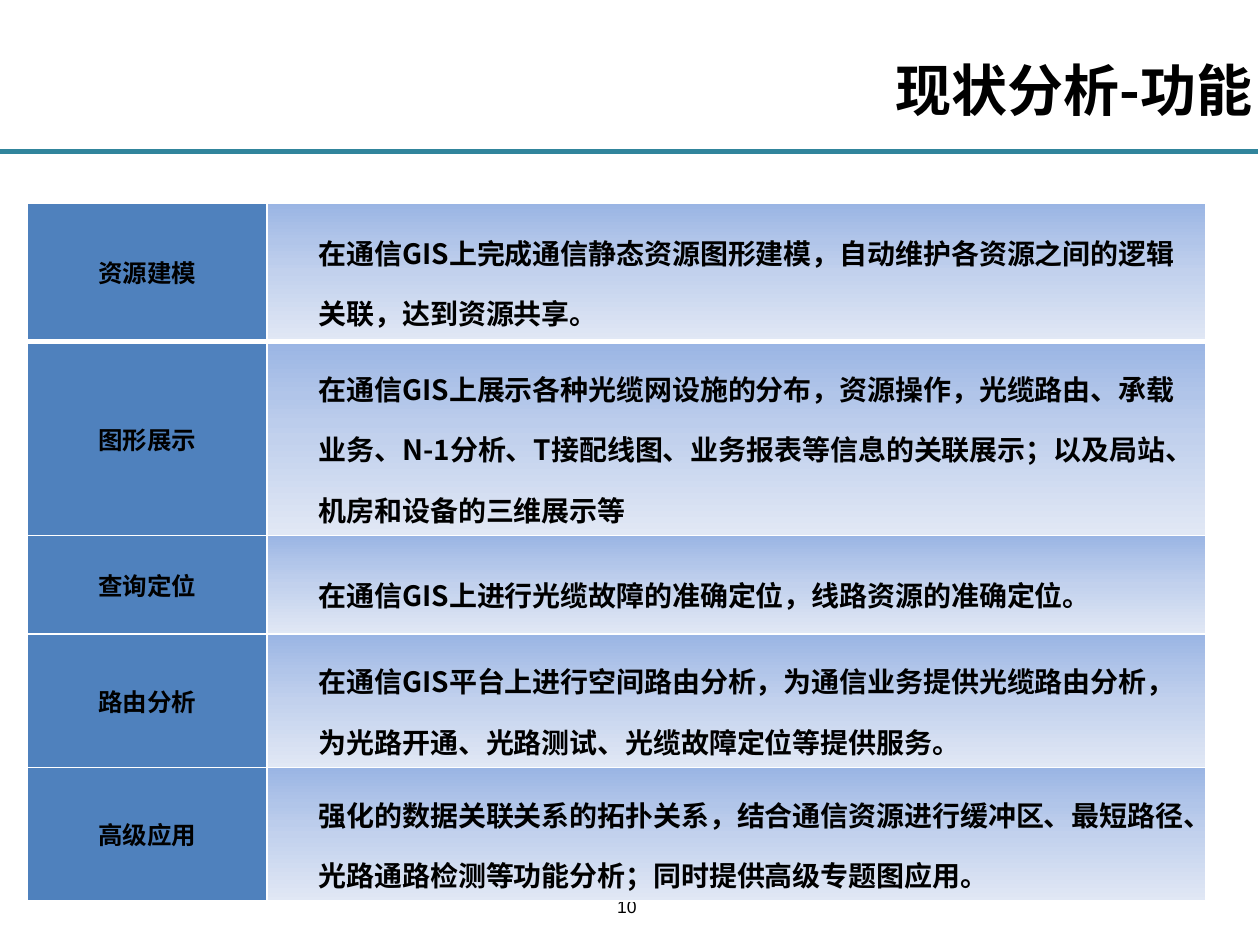
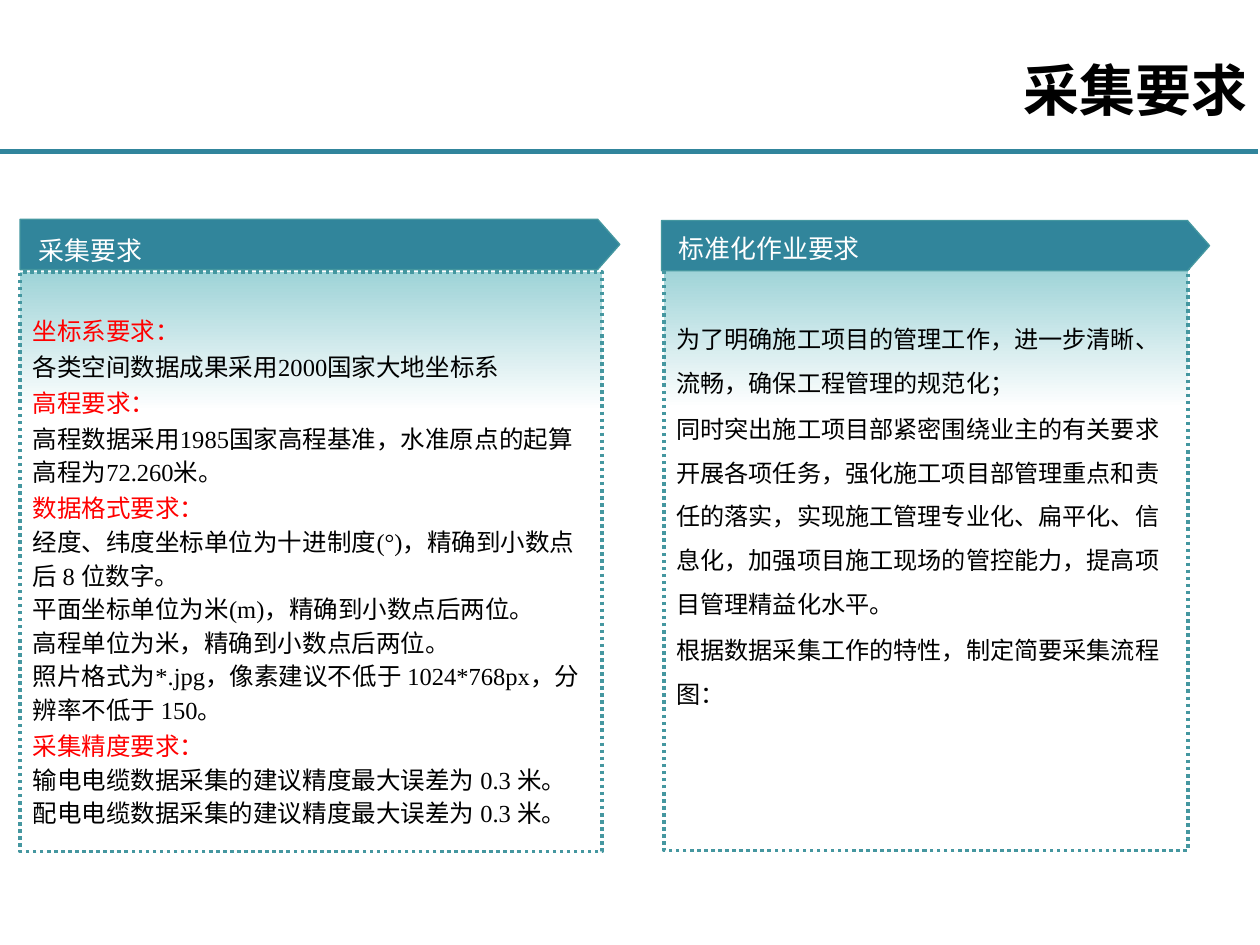
"""Build two slides on current functions and data collection requirements."""
from lxml import etree
from pptx import Presentation
from pptx.dml.color import RGBColor
from pptx.enum.dml import MSO_LINE
from pptx.enum.shapes import MSO_CONNECTOR, MSO_SHAPE
from pptx.enum.text import MSO_ANCHOR, MSO_AUTO_SIZE, PP_ALIGN
from pptx.oxml.ns import qn
from pptx.util import Pt

LEFT, CENTER, RIGHT = PP_ALIGN.LEFT, PP_ALIGN.CENTER, PP_ALIGN.RIGHT
TOP, MIDDLE, BOTTOM = MSO_ANCHOR.TOP, MSO_ANCHOR.MIDDLE, MSO_ANCHOR.BOTTOM
RECTANGLE, PENTAGON = MSO_SHAPE.RECTANGLE, MSO_SHAPE.PENTAGON
STRAIGHT, DOTTED = MSO_CONNECTOR.STRAIGHT, MSO_LINE.ROUND_DOT
NO_AUTOFIT = MSO_AUTO_SIZE.NONE

SANS, SERIF = "Noto Sans CJK SC", "Times New Roman"
BLACK, WHITE, RED = "000000", "FFFFFF", "FF0000"
RULE_TEAL, BANNER_TEAL, OUTLINE_TEAL = "31859C", "31859B", "4597A0"
LABEL_BLUE = "4F81BD"
CELL_GRADIENT = [(0, "9AB5E4"), (28, "B1C5E9"), (42, "BCCDEC"), (50, "C2D1ED"), (100, "E1E8F5")]
PANEL_GRADIENT = [(0, "9ED3D7"), (24, WHITE), (100, WHITE)]

FUNCTIONS = [
    ("资源建模", 79.2, "在通信GIS上完成通信静态资源图形建模，自动维护各资源之间的逻辑关联，达到资源共享。"),
    ("图形展示", 56.9, "在通信GIS上展示各种光缆网设施的分布，资源操作，光缆路由、承载业务、N-1分析、"
     "T接配线图、业务报表等信息的关联展示；以及局站、机房和设备的三维展示等"),
    ("查询定位", 56.2, "在通信GIS上进行光缆故障的准确定位，线路资源的准确定位。"),
    ("路由分析", 55.4, "在通信GIS平台上进行空间路由分析，为通信业务提供光缆路由分析，"
     "为光路开通、光路测试、光缆故障定位等提供服务。"),
    ("高级应用", 60.5, "强化的数据关联关系的拓扑关系，结合通信资源进行缓冲区、最短路径、"
     "光路通路检测等功能分析；同时提供高级专题图应用。"),
]
COLLECTION_RULES = [
    ("坐标系要求：", ["各类空间数据成果采用2000国家大地坐标系"]),
    ("高程要求：", ["高程数据采用1985国家高程基准，水准原点的起算高程为72.260米。"]),
    ("数据格式要求：", [
        "经度、纬度坐标单位为十进制度(°)，精确到小数点后 8 位数字。",
        "平面坐标单位为米(m)，精确到小数点后两位。",
        "高程单位为米，精确到小数点后两位。",
        "照片格式为*.jpg，像素建议不低于 1024*768px，分辨率不低于 150。"]),
    ("采集精度要求：", [
        "输电电缆数据采集的建议精度最大误差为 0.3 米。",
        "配电电缆数据采集的建议精度最大误差为 0.3 米。"]),
]
WORK_STANDARDS = [
    "为了明确施工项目的管理工作，进一步清晰、流畅，确保工程管理的规范化；",
    "同时突出施工项目部紧密围绕业主的有关要求开展各项任务，强化施工项目部管理重点和责任的落实，"
    "实现施工管理专业化、扁平化、信息化，加强项目施工现场的管控能力，提高项目管理精益化水平。",
    "根据数据采集工作的特性，制定简要采集流程图：",
]


def rgb(value):
    """Turn a hex string into a colour."""
    return RGBColor.from_string(value)


def box(left, top, width, height):
    """Return a position and size in points."""
    return Pt(left), Pt(top), Pt(width), Pt(height)


def write(frame, text, size=14, font=SANS, color=BLACK, bold=False, align=LEFT,
          spacing=None, before=0, indent=0):
    """Add one formatted paragraph, filling the empty first one if there is one."""
    paragraph = frame.paragraphs[0]
    if paragraph.runs:
        paragraph = frame.add_paragraph()
        paragraph.space_before = Pt(before)
    else:
        paragraph.space_before = Pt(0)
    paragraph.alignment = align
    if spacing:
        paragraph.line_spacing = spacing
    if indent:
        paragraph._p.get_or_add_pPr().set("marL", str(Pt(indent)))
    run = paragraph.add_run()
    run.text = text
    run.font.size, run.font.bold, run.font.name = Pt(size), bold, font
    run.font.color.rgb = rgb(color)
    east_asian = etree.SubElement(run._r.get_or_add_rPr(), qn("a:ea"))
    east_asian.set("typeface", SANS)


def set_frame(frame, anchor=TOP, inset_top=3.6):
    """Set wrapping, anchor and top inset of a text frame."""
    frame.word_wrap = True
    frame.auto_size = NO_AUTOFIT
    frame.vertical_anchor = anchor
    frame.margin_top = Pt(inset_top)
    return frame


def add_text(slide, place, text, anchor=MIDDLE, **style):
    """Add a text box with one paragraph."""
    label = slide.shapes.add_textbox(*box(*place))
    write(set_frame(label.text_frame, anchor), text, **style)


def fill_gradient(fill, element, stops):
    """Fill from top to bottom with the given percent and colour stops."""
    fill.gradient()
    fill.gradient_angle = 270
    stop_list = element.find(".//" + qn("a:gsLst"))
    for old_stop in list(stop_list):
        stop_list.remove(old_stop)
    for percent, color in stops:
        stop = etree.SubElement(stop_list, qn("a:gs"), pos=str(percent * 1000))
        etree.SubElement(stop, qn("a:srgbClr"), val=color)


def add_layout_rule(slide):
    """Put the teal rule under the title on the layout of the slide."""
    rule = slide.shapes.add_connector(STRAIGHT, Pt(0), Pt(86.4), Pt(718.6), Pt(86.4))
    rule.line.color.rgb = rgb(RULE_TEAL)
    rule.line.width = Pt(3)
    etree.SubElement(rule.element.spPr, qn("a:effectLst"))
    rule.element.find(".//" + qn("p:cNvPr")).set("id", "20")
    slide.slide_layout.shapes.element.append(rule.element)


def add_titled_slide(deck, title, place):
    """Add a slide with a right-aligned title."""
    slide = deck.slides.add_slide(deck.slide_layouts[5])
    heading = slide.shapes.title
    heading.left, heading.top, heading.width, heading.height = box(*place)
    write(set_frame(heading.text_frame, MIDDLE), title, size=32, bold=True, align=RIGHT)
    return slide


def set_borders(cell, top=1, bottom=1):
    """Draw white borders around a table cell."""
    properties = cell._tc.get_or_add_tcPr()
    sides = [("a:lnL", 1), ("a:lnR", 1), ("a:lnT", top), ("a:lnB", bottom)]
    for position, (side, width) in enumerate(sides):
        border = etree.Element(qn(side), w=str(Pt(width)))
        solid = etree.SubElement(border, qn("a:solidFill"))
        etree.SubElement(solid, qn("a:srgbClr"), val=WHITE)
        properties.insert(position, border)


def add_function_table(slide):
    """Add the table of functions and their descriptions."""
    height = sum(row_height for _, row_height, _ in FUNCTIONS)
    table = slide.shapes.add_table(
        len(FUNCTIONS), 2, *box(15.8, 115.9, 673.2, height)).table
    table.first_row = table.horz_banding = False
    table.columns[0].width, table.columns[1].width = Pt(136.8), Pt(536.4)
    for index, (name, row_height, description) in enumerate(FUNCTIONS):
        table.rows[index].height = Pt(row_height)
        name_cell, description_cell = table.cell(index, 0), table.cell(index, 1)
        name_cell.fill.solid()
        name_cell.fill.fore_color.rgb = rgb(LABEL_BLUE)
        fill_gradient(description_cell.fill, description_cell._tc, CELL_GRADIENT)
        for cell in (name_cell, description_cell):
            cell.vertical_anchor = MIDDLE
            set_borders(cell, top=3 if index == 1 else 1, bottom=3 if index == 0 else 1)
        write(name_cell.text_frame, name, bold=True, align=CENTER)
        write(description_cell.text_frame, description, size=16, bold=True,
              spacing=1.5, indent=22.3)


def add_outlined(slide, kind, place, width):
    """Add a preset shape with a teal outline."""
    shape = slide.shapes.add_shape(kind, *box(*place))
    shape.shadow.inherit = False
    shape.line.color.rgb = rgb(OUTLINE_TEAL)
    shape.line.width = Pt(width)
    return shape


def add_panel(slide, place, inset_top):
    """Add a dotted gradient panel and return its text frame."""
    panel = add_outlined(slide, RECTANGLE, place, 2)
    fill_gradient(panel.fill, panel.element, PANEL_GRADIENT)
    panel.line.dash_style = DOTTED
    return set_frame(panel.text_frame, TOP, inset_top)


def add_banner(slide, place, label, label_place):
    """Add an arrow-shaped banner with its label."""
    banner = add_outlined(slide, PENTAGON, place, 0.75)
    banner.adjustments[0] = 0.44
    banner.fill.solid()
    banner.fill.fore_color.rgb = rgb(BANNER_TEAL)
    add_text(slide, label_place, label, size=14.8, color=WHITE, spacing=Pt(26.6))


def build_functions(deck):
    """Build the slide on current functions."""
    slide = add_titled_slide(deck, "现状分析-功能", (175.7, 0.7, 547.2, 100.1))
    add_layout_rule(slide)
    add_text(slide, (291.6, 506.2, 133.2, 21.6), "10", anchor=BOTTOM,
             size=10, font="Arial", align=CENTER)
    add_function_table(slide)


def build_requirements(deck):
    """Build the slide on collection requirements."""
    slide = add_titled_slide(deck, "采集要求", (119.5, 0, 600.5, 101.5))
    rules = add_panel(slide, (11.5, 155.5, 332.6, 331.2), 22.6)
    for heading, details in COLLECTION_RULES:
        write(rules, heading, font=SERIF, color=RED, spacing=Pt(19.2), before=1.4)
        gap = 1.4 if len(details) == 1 else 0
        for detail in details:
            write(rules, detail, font=SERIF, spacing=Pt(19.2), before=gap)
    add_banner(slide, (11.5, 125.3, 342.7, 28.8), "采集要求", (15.1, 123.1, 303.1, 31))

    standards = add_panel(slide, (379.4, 153.4, 299.5, 332.6), 23.4)
    for standard in WORK_STANDARDS:
        write(standards, standard, size=13.8, spacing=Pt(25), before=1.4)
    add_banner(slide, (378, 126, 313.2, 28.8), "标准化作业要求", (380.9, 121.7, 241.2, 31))


def main():
    """Build and save the presentation."""
    deck = Presentation()
    deck.slide_width, deck.slide_height = Pt(720), Pt(540)
    build_functions(deck)
    build_requirements(deck)
    deck.save("out.pptx")


if __name__ == "__main__":
    main()
